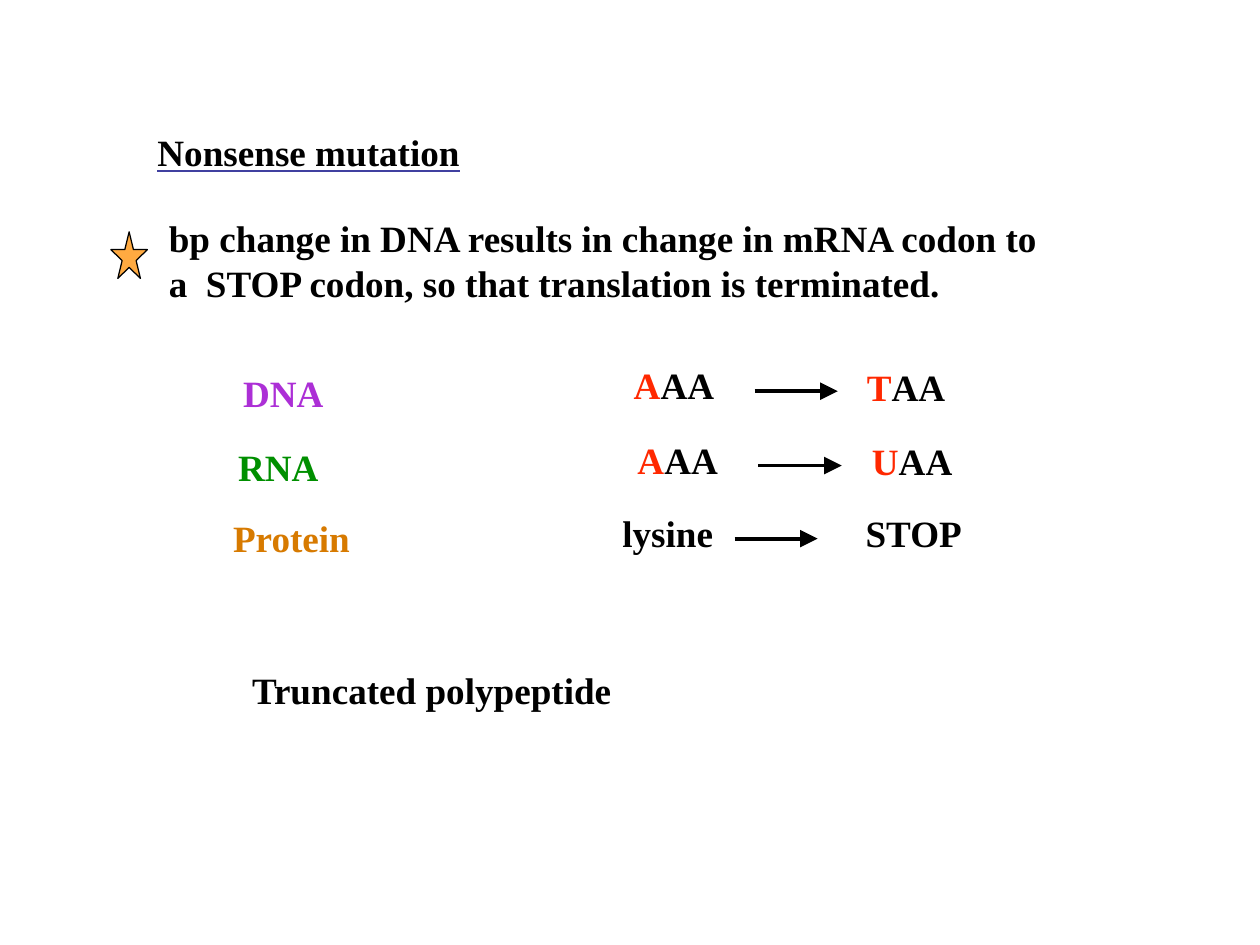
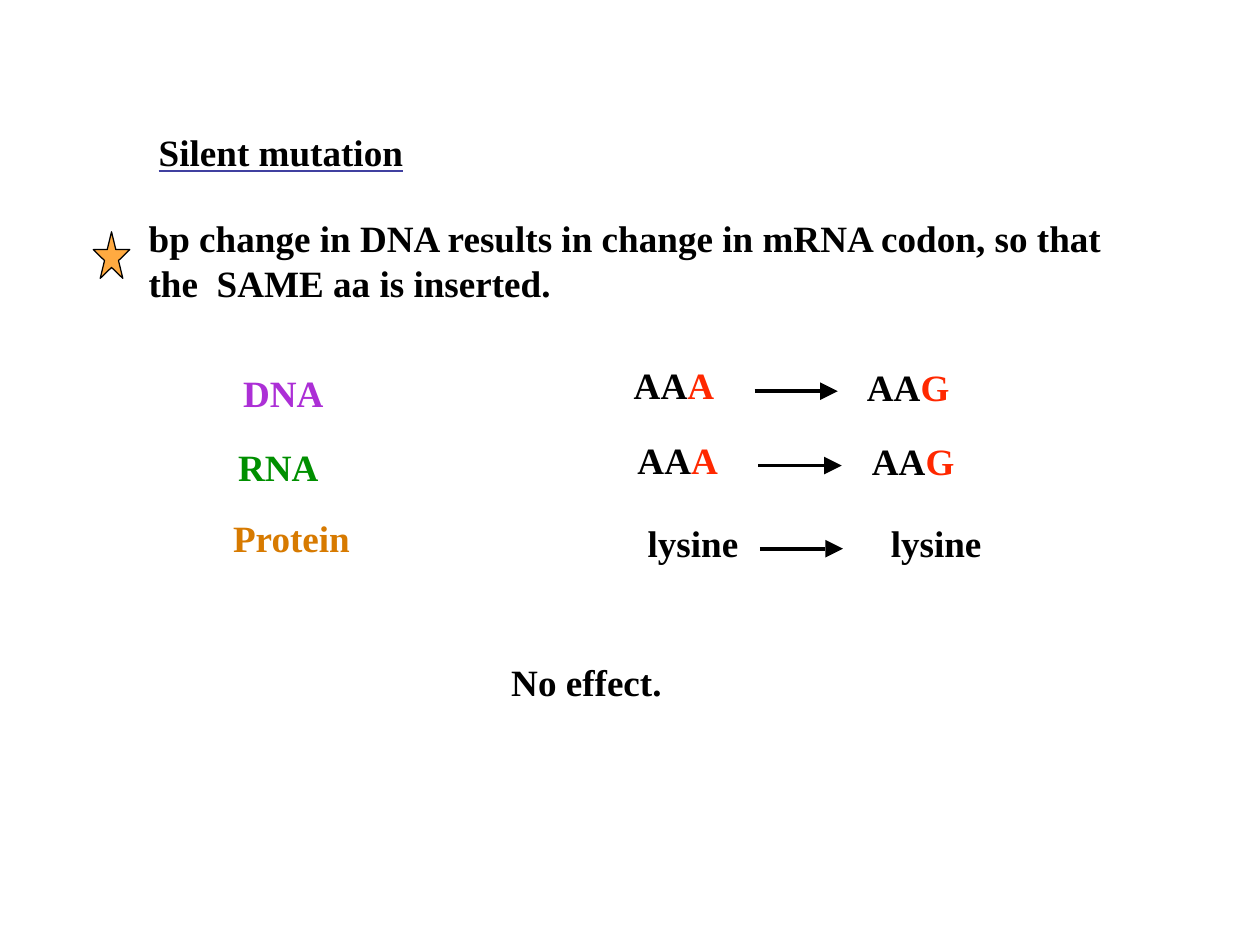
"""Build two slides on nonsense and silent mutations."""
import pptx
import pptx.util
import pptx.dml.color
import pptx.enum.shapes
import pptx.enum.text
import pptx.oxml
import pptx.oxml.ns

Inches, Pt = pptx.util.Inches, pptx.util.Pt
Shape = pptx.enum.shapes.MSO_SHAPE
Align = pptx.enum.text.PP_ALIGN
NS = pptx.oxml.ns.nsdecls("a")
FONT = "Times New Roman"
SIZE = 21.2
HUES = {"ink": "000000", "red": "FF2800", "dna": "AC2FD6", "rna": "008F00",
        "protein": "D77A00", "star": "FFAA41", "rule": "4040A0"}


def tint(name):
    return pptx.dml.color.RGBColor.from_string(HUES[name])


def write(slide, left, top, width, lines, height=0.37, inset=0.01):
    box = slide.shapes.add_textbox(Inches(left), Inches(top), Inches(width), Inches(height))
    frame = box.text_frame
    frame.word_wrap = True
    frame.margin_left = frame.margin_right = frame.margin_bottom = 0
    frame.margin_top = Inches(inset)
    for rank, (parts, indent, gap) in enumerate(lines):
        para = frame.paragraphs[0] if rank == 0 else frame.add_paragraph()
        para._p.get_or_add_pPr().set("marL", str(Inches(indent)))
        para.space_before = Pt(gap)
        para.font.name = FONT
        para.font.size = Pt(SIZE)
        para.font.bold = True
        para.font._element.set("kern", "0")
        if len(parts) == 1:
            para.font.color.rgb = tint(parts[0][1])
        for text, hue in parts:
            run = para.add_run()
            run.text = text
            if len(parts) > 1:
                run.font.color.rgb = tint(hue)
    return frame.paragraphs


pages = [
    {"title": "Nonsense mutation", "left": 1.24, "width": 7.2, "dents": (0.01, 0.1),
     "body": "bp change in DNA results in change in mRNA codon to a  STOP codon, "
             "so that translation is terminated.",
     "star": 0.88,
     "dna": ([("A", "red"), ("AA", "ink")], [("T", "red"), ("AA", "ink")]),
     "rna": ([("A", "red"), ("AA", "ink")], [("U", "red"), ("AA", "ink")]),
     "acid": ("lysine", "STOP"), "spot": (4.93, 4.04),
     "end": ("Truncated polypeptide", 1.99, 5.29, 2.89, Align.LEFT)},
    {"title": "Silent mutation", "left": 1.16, "width": 7.9, "dents": (0.1, 0.02),
     "body": "bp change in DNA results in change in mRNA codon, so that "
             "the  SAME aa is inserted.",
     "star": 0.74,
     "dna": ([("AA", "ink"), ("A", "red")], [("AA", "ink"), ("G", "red")]),
     "rna": ([("AA", "ink"), ("A", "red")], [("AA", "ink"), ("G", "red")]),
     "acid": ("lysine", "lysine"), "spot": (5.13, 4.12),
     "end": ("No effect.", 4.04, 5.22, 1.22, Align.CENTER)},
]

deck = pptx.Presentation()
deck.slide_width, deck.slide_height = Inches(10), Inches(7.5)

for page in pages:
    slide = deck.slides.add_slide(deck.slide_layouts[6])

    first, second = page["dents"]
    head, body = write(slide, page["left"], 1.02, page["width"],
                       [([(page["title"], "ink")], first, 0),
                        ([(page["body"], "ink")], second, 22.9)], height=1.41)
    body.line_spacing = 1.02
    head.font.underline = True
    rule = pptx.oxml.parse_xml(
        f'<a:uFill {NS}><a:solidFill><a:srgbClr val="{HUES["rule"]}"/></a:solidFill></a:uFill>')
    head.font._element.find(pptx.oxml.ns.qn("a:latin")).addprevious(rule)

    star = slide.shapes.add_shape(Shape.STAR_5_POINT, Inches(page["star"]), Inches(1.84),
                                  Inches(0.29), Inches(0.37))
    star.shadow.inherit = False
    star.fill.solid()
    star.fill.fore_color.rgb = tint("star")
    star.line.color.rgb = tint("ink")
    star.line.width = Pt(0.72)

    write(slide, 1.92, 2.93, 0.7, [([("DNA", "dna")], 0.01, 0)])
    write(slide, 1.84, 3.34, 0.96, [([("RNA", "rna")], 0.05, 0),
                                    ([("Protein", "protein")], 0.01, 14.9)],
          height=1.1, inset=0.19)

    old, new = [[(text, "ink")] for text in page["acid"]]
    left, top = page["spot"]
    rows = [(*page["dna"], 5.02, 2.87, 0.97, 1.85, 0.01),
            (*page["rna"], 5.05, 3.46, 0.97, 1.86, 0.01),
            (old, new, left, top, 0.9, 1.93, 0)]
    for old, new, left, top, start, shift, drop in rows:
        write(slide, left, top, 0.8, [(old, 0.01, 0)])
        write(slide, left + shift, top + drop, 0.85, [(new, 0.01, 0)])
        tip, level = left + start + 0.52, top + 0.235
        shaft = slide.shapes.add_connector(
            pptx.enum.shapes.MSO_CONNECTOR.STRAIGHT,
            Inches(left + start), Inches(level), Inches(tip), Inches(level))
        shaft.line.color.rgb = tint("ink")
        shaft.line.width = Pt(2.16)
        shaft._element.spPr.append(pptx.oxml.parse_xml(f"<a:effectLst {NS}/>"))
        pen = slide.shapes.build_freeform(Inches(tip), Inches(level - 0.07))
        pen.add_line_segments([(Inches(tip), Inches(level + 0.07)),
                               (Inches(tip + 0.14), Inches(level))])
        point = pen.convert_to_shape()
        point.shadow.inherit = False
        point.fill.solid()
        point.fill.fore_color.rgb = tint("ink")
        point.line.fill.background()

    text, left, top, width, align = page["end"]
    write(slide, left, top, width, [([(text, "ink")], 0.01, 0)])[0].alignment = align

deck.save("out.pptx")
